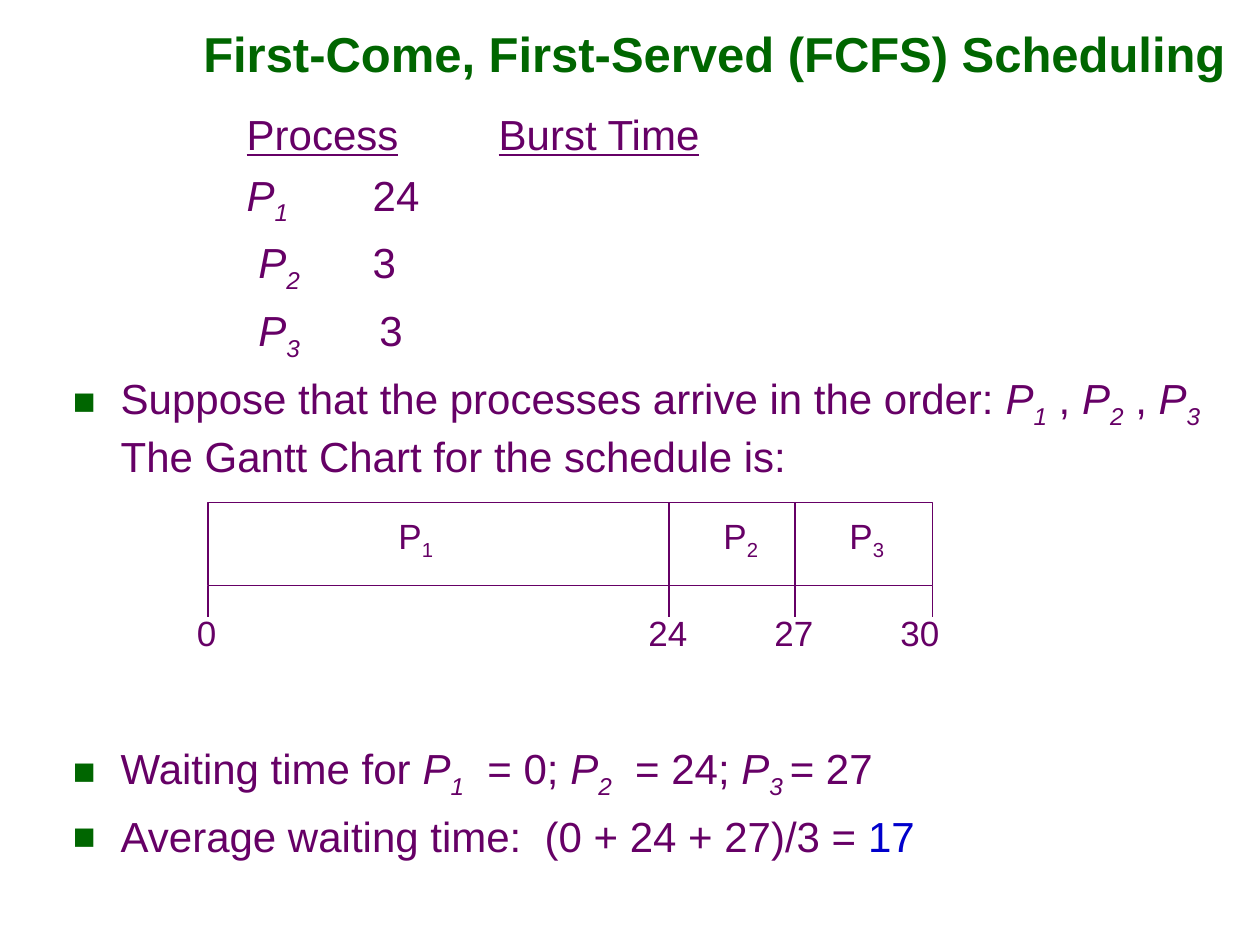
"""Build a slide on first-come, first-served scheduling with its Gantt chart."""
from lxml import etree
from pptx import Presentation
from pptx.dml.color import RGBColor
from pptx.enum.shapes import MSO_CONNECTOR, MSO_SHAPE
from pptx.enum.text import MSO_ANCHOR, PP_ALIGN
from pptx.oxml.ns import qn
from pptx.util import Inches, Pt

GREEN = RGBColor(0x00, 0x66, 0x00)
PURPLE = RGBColor(0x66, 0x00, 0x66)
BLUE = RGBColor(0x00, 0x00, 0xCC)
WHITE = RGBColor(0xFF, 0xFF, 0xFF)

TITLE = "First-Come, First-Served (FCFS) Scheduling"
ROWS = [
    "\t|Process|\t|Burst Time",
    "\t|P1|\t24",
    "\t |P2|\t3",
    "\t |P3\t |3",
]
POINTS = [
    ("Suppose that the processes arrive in the order: |P1| , |P2| , |P3|\n"
     "|The Gantt Chart for the schedule is:", 6),
    ("Waiting time for |P1|  = 0; |P2|  = 24; |P3 |= 27", 150),
    ("Average waiting time:  (0 + 24 + 27)/3 = |17", 6),
]
TABS = (1.38, 2.38, 3.38)
STYLES = {
    "Process": {"underline": True},
    "Burst Time": {"underline": True},
    "17": {"color": BLUE},
}
BARS = [("P1", 3.3), ("P2", 5.88), ("P3", 6.88)]
TIMES = [("0", 1.65, 1.64), ("24", 5.31, 5.3), ("27", 6.31, 6.3), ("30", 7.4, 7.3)]
TOP, BASE, FOOT = 3.99, 4.65, 4.9


def add(parent, tag, **attrs):
    return etree.SubElement(parent, qn(tag), attrs)


def style(para, size, color, bold=False):
    font = para.font
    font.name, font.size, font.bold = "Arial", Pt(size), bold
    font.color.rgb = color


def put_name(para, name, italic):
    for text, low in ((name[0], False), (name[1:], True)):
        run = para.add_run()
        run.text = text
        if italic:
            run.font.italic = True
        if low:
            run.font._element.set("baseline", "-25000")


def fill_para(para, text):
    for part in text.split("|"):
        if part.strip() in ("P1", "P2", "P3"):
            put_name(para, part, True)
        elif part == "\n":
            para.add_line_break()
        else:
            run = para.add_run()
            run.text = part
            look = STYLES.get(part, {})
            if "underline" in look:
                run.font.underline = True
            if "color" in look:
                run.font.color.rgb = look["color"]


def add_tabs(para):
    stops = add(para._p.get_or_add_pPr(), "a:tabLst")
    for at in TABS:
        add(stops, "a:tab", pos=str(Inches(at)), algn="l")


def add_bullet(para):
    props = para._p.get_or_add_pPr()
    props.set("marL", str(Inches(0.38)))
    props.set("indent", str(-Inches(0.38)))
    add(add(props, "a:buClr"), "a:srgbClr", val=str(GREEN))
    add(props, "a:buSzPct", val="90000")
    add(props, "a:buFont", typeface="Arial")
    add(props, "a:buChar", char="■")


def add_body(slide):
    box = slide.shapes.add_textbox(Inches(0.48), Inches(0.81), Inches(9.33), Inches(6.36))
    frame = box.text_frame
    frame.word_wrap = True
    items = [(text, 6, add_tabs) for text in ROWS]
    items += [(text, gap, add_bullet) for text, gap in POINTS]
    for i, (text, gap, mark) in enumerate(items):
        para = frame.add_paragraph() if i else frame.paragraphs[0]
        mark(para)
        para.space_before = Pt(gap if i else 0)
        style(para, 24, PURPLE)
        fill_para(para, text)


def add_label(slide, text, mid, top, wide, high):
    box = slide.shapes.add_textbox(
        Inches(mid - wide / 2), Inches(top), Inches(wide), Inches(high))
    frame = box.text_frame
    frame.word_wrap = False
    frame.margin_left = frame.margin_right = 0
    frame.vertical_anchor = MSO_ANCHOR.MIDDLE
    para = frame.paragraphs[0]
    para.alignment = PP_ALIGN.CENTER
    style(para, 20, PURPLE)
    if text.startswith("P"):
        put_name(para, text, False)
    else:
        para.add_run().text = text


def add_line(slide, x, top, end):
    line = slide.shapes.add_connector(
        MSO_CONNECTOR.STRAIGHT, Inches(x), Inches(top), Inches(x), Inches(end))
    line.line.color.rgb = PURPLE
    line.line.width = Pt(0.75)
    add(line._element.spPr, "a:effectLst")


def add_gantt(slide):
    cuts = [x for _, x, _ in TIMES]
    bar = slide.shapes.add_shape(
        MSO_SHAPE.RECTANGLE, Inches(cuts[0]), Inches(TOP),
        Inches(cuts[-1] - cuts[0]), Inches(BASE - TOP))
    bar.shadow.inherit = False
    bar.fill.solid()
    bar.fill.fore_color.rgb = WHITE
    bar.line.color.rgb = PURPLE
    bar.line.width = Pt(0.75)
    for name, mid in BARS:
        add_label(slide, name, mid, 4.03, 0.47, 0.48)
    for x in cuts[1:-1]:
        add_line(slide, x, TOP, BASE)
    for time, x, mid in TIMES:
        add_line(slide, x, BASE, FOOT)
        add_label(slide, time, mid, 4.8, 0.51 if len(time) > 1 else 0.35, 0.44)


def main():
    deck = Presentation()
    deck.slide_width, deck.slide_height = Inches(10), Inches(7.5)
    slide = deck.slides.add_slide(deck.slide_layouts[5])
    title = slide.shapes.title
    title.left, title.top = Inches(1.11), Inches(0.17)
    title.width, title.height = Inches(9.12), Inches(0.5)
    frame = title.text_frame
    frame.text = TITLE
    frame.vertical_anchor = MSO_ANCHOR.MIDDLE
    para = frame.paragraphs[0]
    para.alignment = PP_ALIGN.CENTER
    style(para, 28, GREEN, True)
    add_body(slide)
    add_gantt(slide)
    deck.save("out.pptx")


if __name__ == "__main__":
    main()
